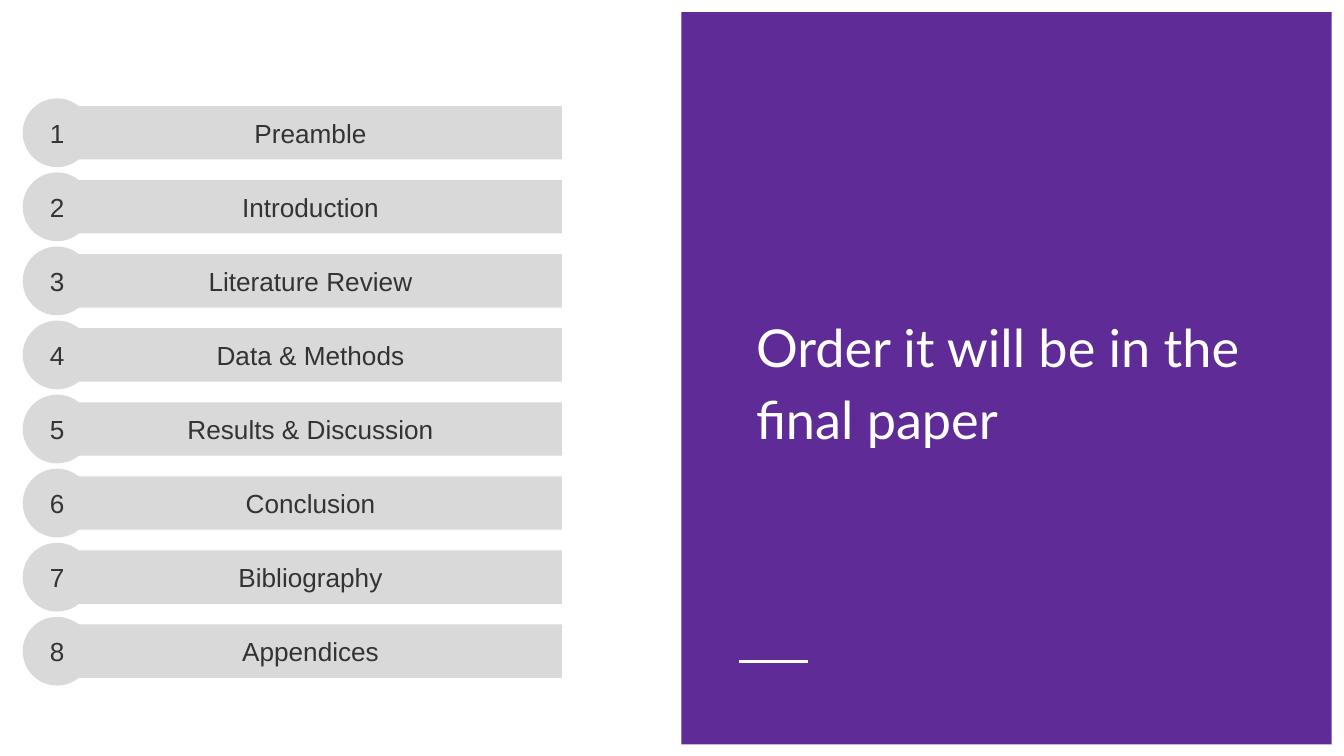
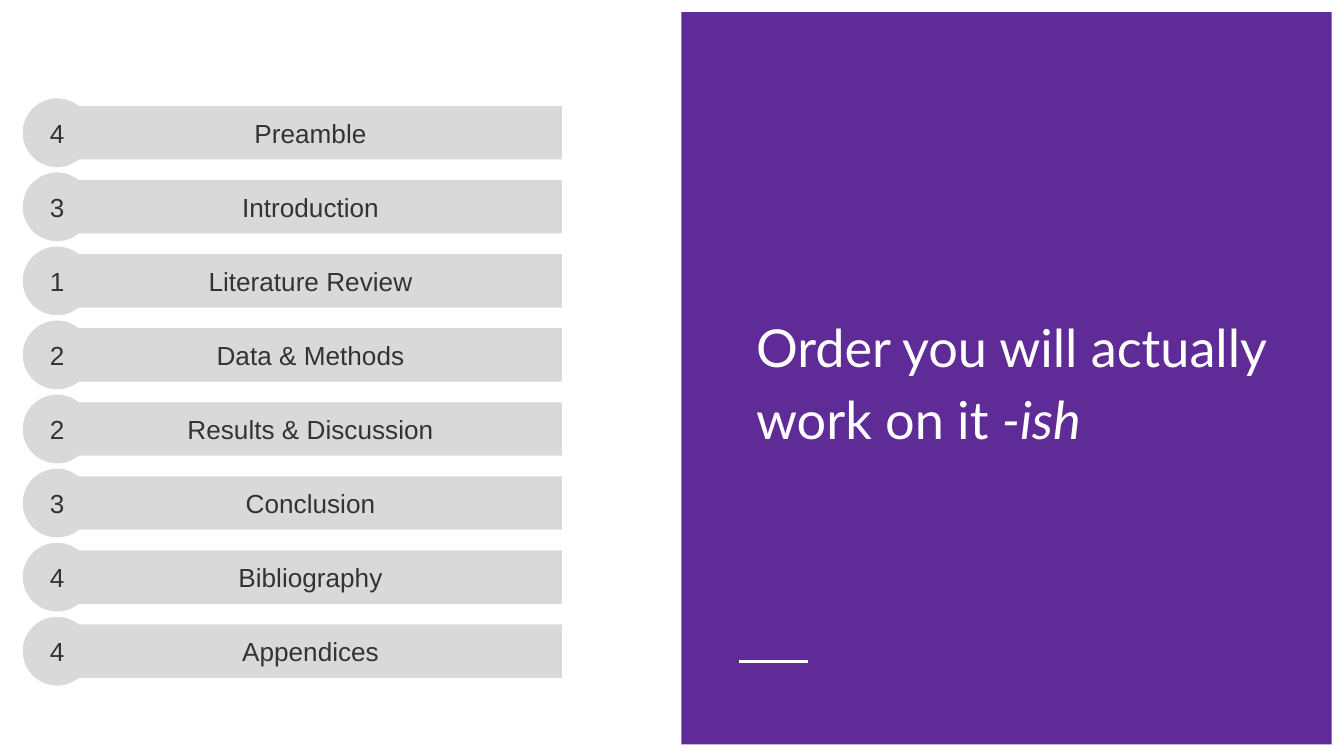
from dataclasses import dataclass

import pptx
import pptx.dml.color
import pptx.enum.shapes
import pptx.enum.text
import pptx.util
from lxml import etree
from pptx.util import Cm

Color = pptx.dml.color.RGBColor
Shapes = pptx.enum.shapes.MSO_SHAPE


@dataclass(frozen=True)
class Theme:
    """Colours, fonts and type sizes shared by the slides."""
    purple: Color = Color(0x5E, 0x2B, 0x97)
    grey: Color = Color(0xD9, 0xD9, 0xD9)
    ink: Color = Color(0x33, 0x33, 0x33)
    white: Color = Color(0xFF, 0xFF, 0xFF)
    title_font: str = "Lato"
    title_size: int = 28
    label_font: str = "Arial"
    label_size: int = 14


THEME = Theme()

SECTIONS = [
    "Preamble", "Introduction", "Literature Review", "Data & Methods",
    "Results & Discussion", "Conclusion", "Bibliography", "Appendices",
]
FINAL_ORDER = [1, 2, 3, 4, 5, 6, 7, 8]
WORKING_ORDER = [4, 3, 1, 2, 2, 3, 4, 4]

FIRST_ROW_CENTRE = 2.51
ROW_PITCH = 1.4
BAR_LEFT, BAR_WIDTH, BAR_HEIGHT = 1.12, 9.5, 1.01
CIRCLE_LEFT, CIRCLE_SIZE = 0.43, 1.3


def set_font(paragraph, name, size, color):
    """Give a whole paragraph one font."""
    paragraph.font.name = name
    paragraph.font.size = pptx.util.Pt(size)
    paragraph.font.color.rgb = color


def add_filled_shape(slide, kind, left, top, width, height, color):
    """Add a flat shape without outline or shadow, placed in centimetres."""
    shape = slide.shapes.add_shape(
        kind, Cm(left), Cm(top), Cm(width), Cm(height))
    shape.fill.solid()
    shape.fill.fore_color.rgb = color
    shape.line.fill.background()
    shape.shadow.inherit = False
    return shape


def add_label(slide, kind, left, centre, width, height, text):
    """Add a grey shape with centred text around a row centre."""
    shape = add_filled_shape(
        slide, kind, left, centre - height / 2, width, height, THEME.grey)
    frame = shape.text_frame
    frame.vertical_anchor = pptx.enum.text.MSO_ANCHOR.MIDDLE
    paragraph = frame.paragraphs[0]
    paragraph.text = text
    paragraph.alignment = pptx.enum.text.PP_ALIGN.CENTER
    set_font(paragraph, THEME.label_font, THEME.label_size, THEME.ink)


def add_section_rows(slide, numbers):
    """Add one bar with a numbered circle for each section."""
    for row, (number, section) in enumerate(zip(numbers, SECTIONS)):
        centre = FIRST_ROW_CENTRE + row * ROW_PITCH
        add_label(slide, Shapes.RECTANGLE, BAR_LEFT, centre,
                  BAR_WIDTH, BAR_HEIGHT, section)
        add_label(slide, Shapes.OVAL, CIRCLE_LEFT, centre,
                  CIRCLE_SIZE, CIRCLE_SIZE, str(number))


def add_panel(slide):
    """Add the purple panel and its short rule, and return the rule."""
    add_filled_shape(
        slide, Shapes.RECTANGLE, 12.88, 0.23, 12.29, 13.84, THEME.purple)
    rule = slide.shapes.add_connector(
        pptx.enum.shapes.MSO_CONNECTOR.STRAIGHT,
        Cm(13.97), Cm(12.5), Cm(15.27), Cm(12.5))
    rule.line.color.rgb = THEME.white
    rule.line.width = pptx.util.Pt(1.5)
    properties = rule.element.spPr
    etree.SubElement(properties, pptx.oxml.ns.qn("a:effectLst"))
    return rule


def format_title(slide, text, emphasis):
    """Place the title on the panel, with an optional italic ending."""
    title = slide.shapes.title
    title.left, title.top = Cm(13.72), Cm(2.01)
    title.width, title.height = Cm(10.67), Cm(10.26)
    frame = title.text_frame
    frame.word_wrap = True
    frame.auto_size = pptx.enum.text.MSO_AUTO_SIZE.NONE
    frame.vertical_anchor = pptx.enum.text.MSO_ANCHOR.MIDDLE
    frame.margin_left = frame.margin_right = Cm(0.25)
    frame.margin_top = frame.margin_bottom = Cm(0.25)
    paragraph = frame.paragraphs[0]
    paragraph.alignment = pptx.enum.text.PP_ALIGN.LEFT
    paragraph.line_spacing = 1.15
    paragraph.space_before = pptx.util.Pt(0)
    indents = paragraph._p.get_or_add_pPr()
    indents.set("marL", str(Cm(0.32)))
    indents.set("indent", "0")
    set_font(paragraph, THEME.title_font, THEME.title_size, THEME.white)
    paragraph.add_run().text = text
    if emphasis:
        run = paragraph.add_run()
        run.text = emphasis
        run.font.italic = True
    return title


def add_order_slide(presentation, text, numbers, emphasis=""):
    """Add a slide with the sections on the left and a titled panel."""
    slide = presentation.slides.add_slide(presentation.slide_layouts[5])
    rule = add_panel(slide)
    title = format_title(slide, text, emphasis)
    rule.element.addnext(title.element)
    add_section_rows(slide, numbers)


def main():
    """Build both slides and save the presentation."""
    presentation = pptx.Presentation()
    presentation.slide_width = Cm(25.4)
    presentation.slide_height = Cm(14.29)
    add_order_slide(
        presentation, "Order it will be in the final paper", FINAL_ORDER)
    add_order_slide(
        presentation, "Order you will actually work on it ", WORKING_ORDER,
        emphasis="-ish")
    presentation.save("out.pptx")


if __name__ == "__main__":
    main()
